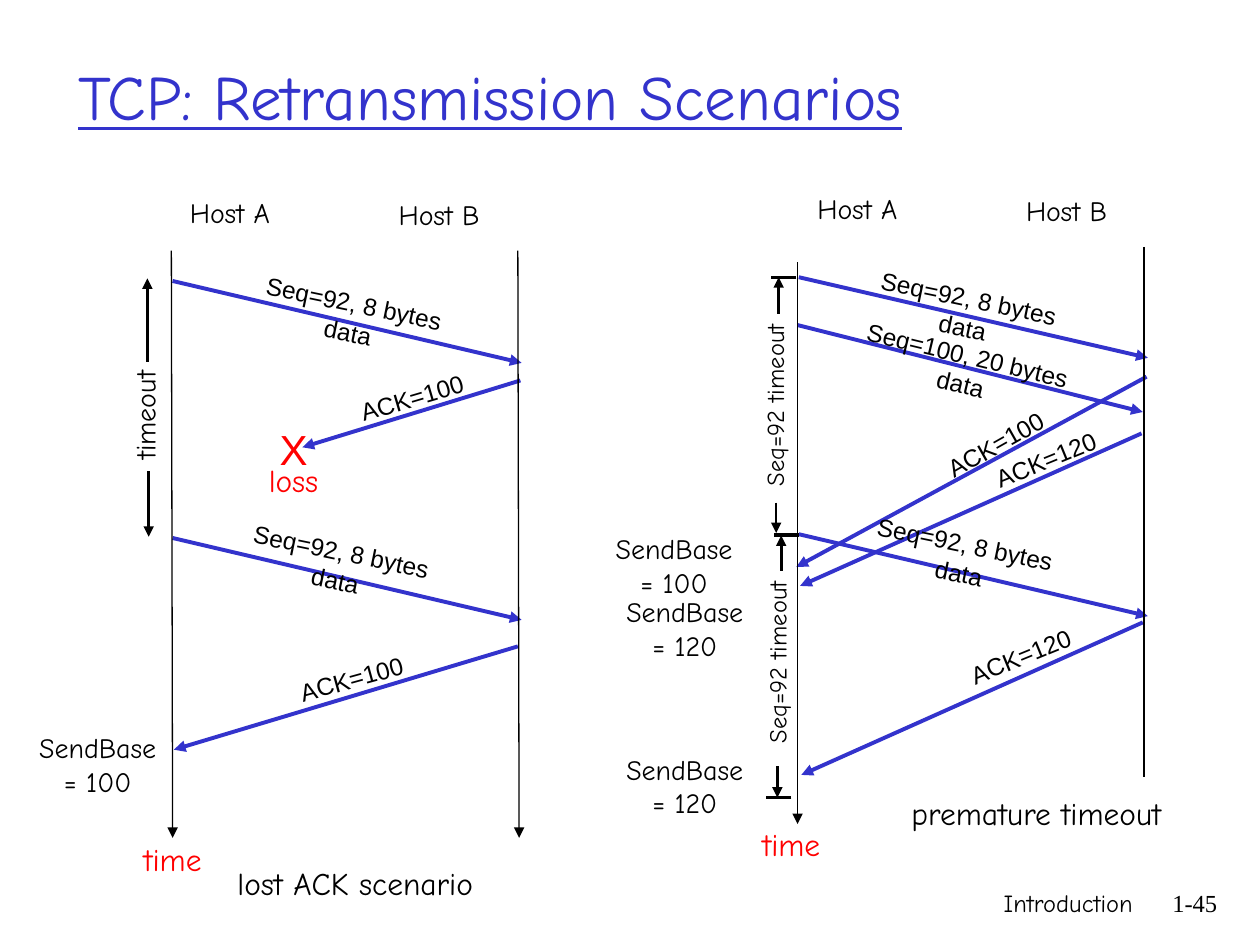
from lxml.etree import SubElement
from pptx import Presentation
from pptx.dml.color import RGBColor
from pptx.enum.shapes import MSO_CONNECTOR, MSO_SHAPE
from pptx.enum.text import MSO_ANCHOR, MSO_AUTO_SIZE, PP_ALIGN
from pptx.oxml.ns import qn
from pptx.util import Inches, Pt

COLORS = {"blue": "3333CC", "black": "000000", "red": "FF0000", "white": "FFFFFF"}
HAND, SANS, SERIF = "Comic Neue", "Arial", "Times New Roman"
TEXT_HEIGHTS = {14: 3.3, 16: 3.7, 18: 4, 24: 5}

presentation = Presentation()
presentation.slide_width = Inches(10)
presentation.slide_height = Inches(7.5)
column = presentation.slide_width / 100
row = presentation.slide_height / 75
slide = presentation.slides.add_slide(presentation.slide_layouts[5])


def format_text(shape, text, font_name, size, color, align, anchor, wrap, underline=False):
    frame = shape.text_frame
    frame.text = text
    frame_format = {"word_wrap": wrap, "auto_size": MSO_AUTO_SIZE.NONE, "vertical_anchor": anchor}
    for name, value in frame_format.items():
        setattr(frame, name, value)
    font_format = {"name": font_name, "size": Pt(size), "underline": underline}
    for paragraph in frame.paragraphs:
        paragraph.alignment = align
        for name, value in font_format.items():
            setattr(paragraph.font, name, value)
        paragraph.font.color.rgb = RGBColor.from_string(COLORS[color])


def draw_line(start, end, color, width, arrow):
    line = slide.shapes.add_connector(
        MSO_CONNECTOR.STRAIGHT,
        round(start[0] * column), round(start[1] * row),
        round(end[0] * column), round(end[1] * row))
    line.line.color.rgb = RGBColor.from_string(COLORS[color])
    line.line.width = Pt(width)
    properties = line._element.spPr
    if arrow:
        SubElement(properties.find(qn("a:ln")), qn("a:tailEnd"), type="triangle")
    SubElement(properties, qn("a:effectLst"))
    return line


title = slide.shapes.title
title_box = {"left": 5.2 * column, "top": 2.6 * row, "width": 85 * column, "height": 9.9 * row}
for name, value in title_box.items():
    setattr(title, name, round(value))
format_text(title, "TCP: Retransmission Scenarios", HAND, 36, "blue",
            PP_ALIGN.LEFT, MSO_ANCHOR.MIDDLE, True, True)

masks = []
for left, top, width, height in [(60.7, 24.9, 2.2, 14.4), (60.9, 45.3, 2.2, 14.4),
                                 (59.8, 65.8, 5.6, 2.7)]:
    mask = slide.shapes.add_shape(MSO_SHAPE.RECTANGLE, round(left * column), round(top * row),
                                  round(width * column), round(height * row))
    mask.shadow.inherit = False
    mask.fill.solid()
    mask.fill.fore_color.rgb = RGBColor.from_string(COLORS["white"])
    mask.line.fill.background()
    masks.append(mask)

messages = [
    ((13.7, 22.3), (41.4, 28.8)), ((41.3, 30.2), (24, 35.5)),
    ((13.7, 42.7), (41.4, 49.2)), ((41.1, 51.3), (13.8, 59.5)),
    ((63.4, 22), (91.1, 28.4)), ((63.3, 25.8), (90.7, 32.7)),
    ((91, 29.9), (63.2, 45)), ((90.6, 34.4), (63.5, 46.5)),
    ((63.4, 42.4), (91.1, 48.9)), ((90.7, 49.4), (63.6, 61.5)),
]
for start, end in messages:
    draw_line(start, end, "blue", 2.25, True)

timelines = [
    ((13.6, 19.9), (13.7, 66.5), True), ((41.1, 19.9), (41.2, 66.5), True),
    ((63.3, 20.8), (63.3, 65.4), True), ((90.8, 19.6), (90.8, 61.7), False),
]
for start, end, arrow in timelines:
    draw_line(start, end, "black", 0.75, arrow)

timeout_arrows = [
    ((11.7, 28.7), (11.7, 22.1), None), ((11.8, 37.4), (11.8, 42.6), None),
    ((61.8, 24.9), (61.8, 22), masks[0]), ((61.6, 39.9), (61.6, 42.3), None),
    ((62, 45.3), (62, 42.5), masks[1]), ((61.7, 60.8), (61.7, 63.3), None),
]
for start, end, mask in timeout_arrows:
    arrow_line = draw_line(start, end, "black", 1.5, True)
    if mask is not None:
        arrow_line.begin_connect(mask, 0)

for right, y in [(63.2, 22), (63.4, 42.4), (63.4, 42.5), (62.8, 63.3)]:
    draw_line((right, y), (right - 2, y), "black", 1.5, False)

labels = [
    ("Host A", 13.6, 15, 9.3, 0, HAND, 16, "black"),
    ("Host B", 30.3, 15.2, 9.1, 0, HAND, 16, "black"),
    ("Host A", 63.4, 14.7, 9.3, 0, HAND, 16, "black"),
    ("Host B", 80.1, 14.9, 9.1, 0, HAND, 16, "black"),
    ("ACK=100", 27.5, 29.9, 10.4, -16.4, SANS, 14, "black"),
    ("ACK=100", 22.6, 52.2, 10.6, -15.4, SANS, 14, "black"),
    ("ACK=100", 73.8, 33.6, 10.4, -29.5, SANS, 14, "black"),
    ("ACK=120", 77.7, 34.8, 10.6, -22.3, SANS, 14, "black"),
    ("ACK=120", 75.7, 50.4, 10.6, -22.3, SANS, 14, "black"),
    ("X", 21.2, 33.1, 4.2, 0, SANS, 24, "red"),
    ("loss", 20.1, 36.1, 6.4, 0, HAND, 18, "red"),
    ("timeout", 6.5, 31.1, 10, -90, HAND, 16, "black"),
    ("Seq=92 timeout", 53.3, 30.5, 16.3, -90, HAND, 14, "black"),
    ("Seq=92 timeout", 53.5, 50.9, 16.3, -90, HAND, 14, "black"),
    ("time", 10.1, 66.2, 7.2, 0, HAND, 18, "red"),
    ("time", 59.2, 65, 7.2, 0, HAND, 18, "red"),
    ("lost ACK scenario", 17, 68.1, 22.4, 0, HAND, 18, "black"),
    ("premature timeout", 70.3, 62.5, 23.9, 0, HAND, 18, "black"),
    ("SendBase\n= 100", 1.7, 57.5, 12.1, 0, HAND, 16, "black"),
    ("SendBase\n= 100", 47.4, 41.7, 12.2, 0, HAND, 16, "black"),
    ("SendBase\n= 120", 48.3, 46.7, 12.1, 0, HAND, 16, "black"),
    ("SendBase\n= 120", 48.3, 59.2, 12.1, 0, HAND, 16, "black"),
    ("Seq=92, 8 bytes data", 18.1, 22.4, 20, 11.8, SANS, 14, "black"),
    ("Seq=92, 8 bytes data", 17.1, 42.1, 20, 11.8, SANS, 14, "black"),
    ("Seq=92, 8 bytes data", 66.9, 22, 20, 11.8, SANS, 14, "black"),
    ("Seq=92, 8 bytes data", 66.6, 41.5, 20, 11.8, SANS, 14, "black"),
    ("Seq=100, 20 bytes data", 65.8, 26.5, 22, 13.5, SANS, 14, "black"),
]
for text, left, top, width, rotation, font_name, size, color in labels:
    height = 6.4 if "\n" in text else TEXT_HEIGHTS[size]
    label = slide.shapes.add_textbox(round(left * column), round(top * row),
                                     round(width * column), round(height * row))
    label.rotation = rotation
    format_text(label, text, font_name, size, color,
                PP_ALIGN.CENTER, MSO_ANCHOR.TOP, text.endswith("data"))

for text, left, width, font_name in [("Introduction", 59.2, 31.7, HAND), ("1-45", 90.8, 6.8, SERIF)]:
    footer = slide.shapes.add_textbox(round(left * column), round(70 * row),
                                      round(width * column), round(5 * row))
    format_text(footer, text, font_name, 14, "black", PP_ALIGN.RIGHT, MSO_ANCHOR.TOP, True)

presentation.save("out.pptx")
